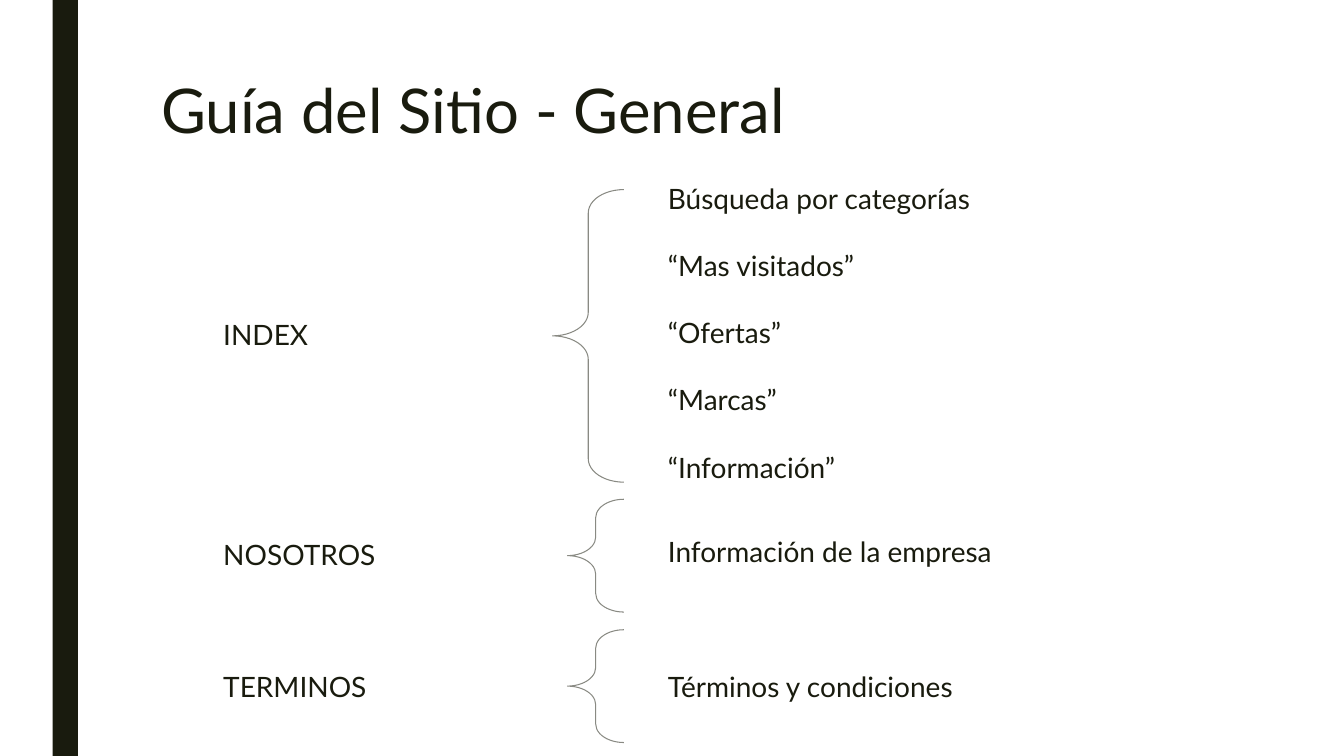
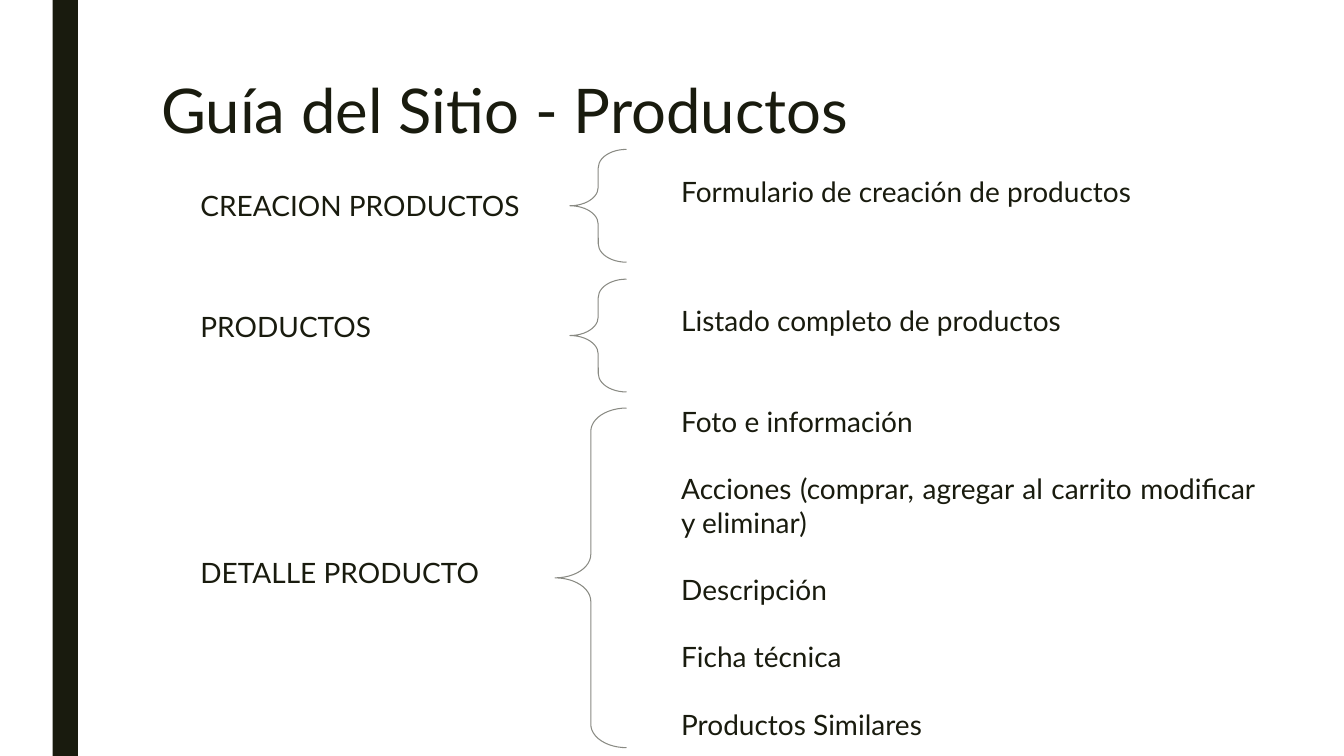
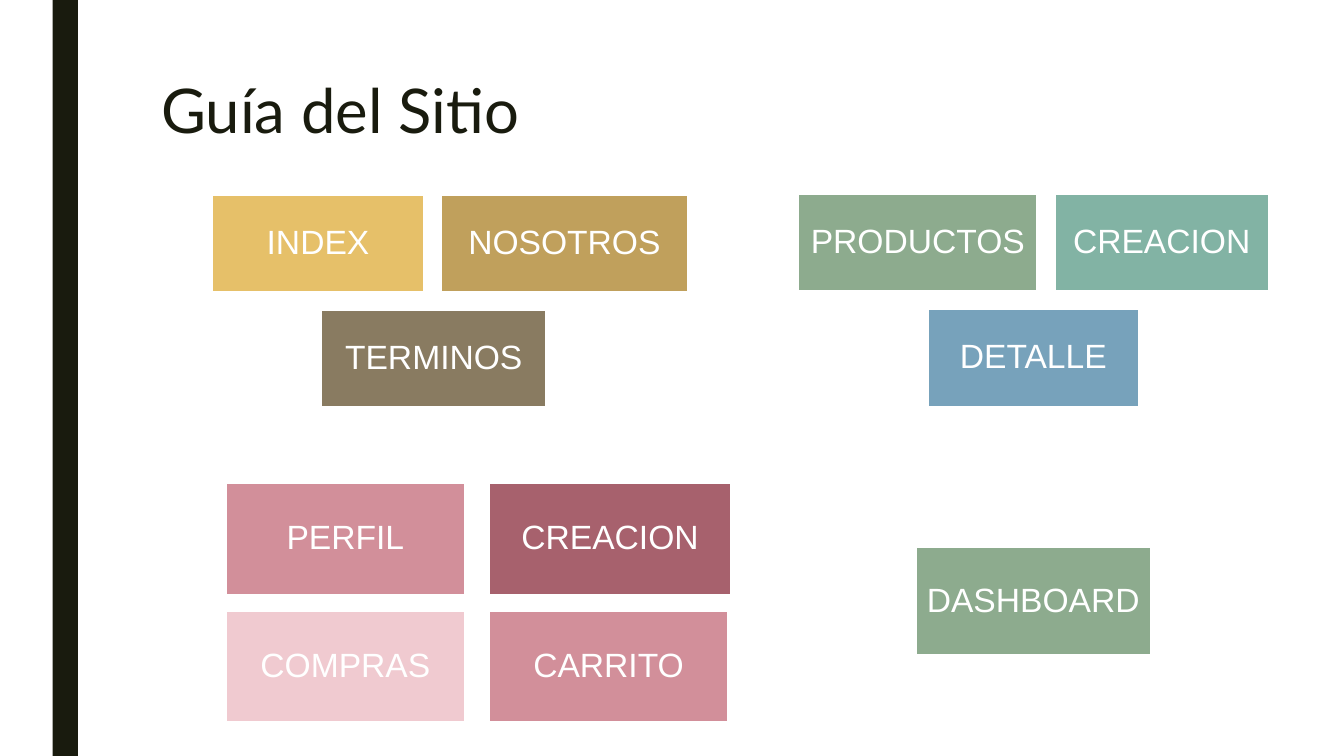
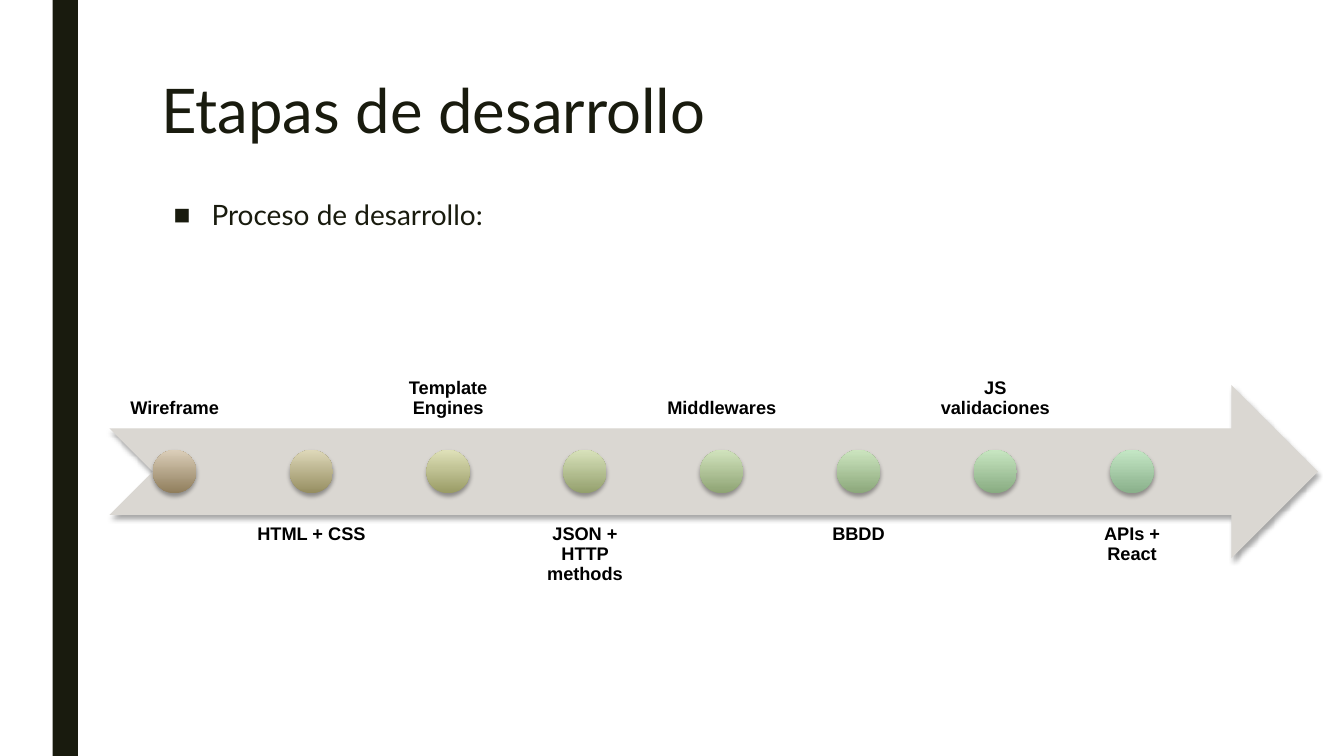
from lxml import etree
from pptx import Presentation
from pptx.dml.color import RGBColor
from pptx.enum.shapes import MSO_SHAPE
from pptx.enum.text import MSO_ANCHOR, MSO_AUTO_SIZE, PP_ALIGN
from pptx.oxml.ns import qn
from pptx.util import Pt

RECT = MSO_SHAPE.RECTANGLE
BRACE = MSO_SHAPE.LEFT_BRACE
ARROW = MSO_SHAPE.NOTCHED_RIGHT_ARROW
OVAL = MSO_SHAPE.OVAL
TOP, MID, LOW = MSO_ANCHOR.TOP, MSO_ANCHOR.MIDDLE, MSO_ANCHOR.BOTTOM
LEFT, CENTER, JUST = PP_ALIGN.LEFT, PP_ALIGN.CENTER, PP_ALIGN.JUSTIFY
FIXED = MSO_AUTO_SIZE.NONE

INK = RGBColor(0x19, 0x1B, 0x0E)
WHITE = RGBColor(0xFF, 0xFF, 0xFF)
BLACK = RGBColor(0, 0, 0)
GRAY = RGBColor(0x89, 0x8A, 0x83)
STONE = RGBColor(0xDA, 0xD7, 0xD2)
GOLD = RGBColor(0xE6, 0xC0, 0x69)
OCHRE = RGBColor(0xC0, 0xA0, 0x5C)
BROWN = RGBColor(0x89, 0x7B, 0x61)
SAGE = RGBColor(0x8D, 0xAB, 0x8E)
TEAL = RGBColor(0x82, 0xB3, 0xA4)
BLUE = RGBColor(0x77, 0xA2, 0xBB)
WINE = RGBColor(0xA7, 0x61, 0x6D)
ROSE = RGBColor(0xD2, 0x8F, 0x9A)
BLUSH = RGBColor(0xF0, 0xCA, 0xD0)

HEAD, SANS = "Lato", "Arial"

STEPS = [
    ("Wireframe", "8F7D5B", "DBCEB9"),
    ("HTML + CSS", "958D60", "DED8B9"),
    ("Template Engines", "999B65", "DFE1B9"),
    ("JSON + HTTP methods", "939F6C", "D8E2BB"),
    ("Middlewares", "8EA373", "D1E3BD"),
    ("BBDD", "8BA77A", "CCE5BF"),
    ("JS validaciones", "88AB81", "C7E6C1"),
    ("APIs + React", "89AF8A", "C4E7C5"),
]


def place(shape, box):
    shape.left, shape.top, shape.width, shape.height = map(Pt, box)


def write(para, text, size, font, color, align, bold=False):
    para.alignment = align
    run = para.add_run()
    run.text = text
    run.font.size = Pt(size)
    run.font.name = font
    run.font.bold = bold
    run.font.color.rgb = color


def draw(shapes, kind, box, fill=None, line=None, width=0):
    shape = shapes.add_shape(kind, *map(Pt, box))
    shape.shadow.inherit = False
    if fill is None:
        shape.fill.background()
    else:
        shape.fill.solid()
        shape.fill.fore_color.rgb = fill
    if line is None:
        shape.line.fill.background()
    else:
        shape.line.color.rgb = line
        shape.line.width = Pt(width)
    return shape


def frame(slide, box, anchor=TOP):
    text = slide.shapes.add_textbox(*map(Pt, box)).text_frame
    text.word_wrap = True
    text.auto_size = FIXED
    text.vertical_anchor = anchor
    return text


def lines(slide, box, items):
    text = frame(slide, box)
    for i, item in enumerate(items):
        para = text.add_paragraph() if i else text.paragraphs[0]
        para.space_after = Pt(24 if i < len(items) - 1 else 0)
        write(para, item, 20, HEAD, INK, JUST)


def shade(shape):
    props = shape.element.spPr
    effects = props.find(qn("a:effectLst"))
    outer = etree.SubElement(
        effects, qn("a:outerShdw"), blurRad=str(Pt(3.1)),
        dist=str(Pt(1.8)), dir="5400000", rotWithShape="0")
    color = etree.SubElement(outer, qn("a:srgbClr"), val="000000")
    etree.SubElement(color, qn("a:alpha"), val="35000")


def start(deck, title):
    slide = deck.slides.add_slide(deck.slide_layouts[5])
    head = slide.shapes.title
    place(head, (108, 54, 756, 116.6))
    text = head.text_frame
    text.auto_size = FIXED
    text.vertical_anchor = TOP
    para = text.paragraphs[0]
    para.line_spacing = 0.89
    write(para, title, 44, HEAD, INK, LEFT)
    return slide


def brand(deck, slide):
    band = draw(slide.shapes, RECT, (37.6, 0, 18, 540), INK)
    deck.slide_master.shapes.element.insert(2, band.element)


def guide(slide, box, reach, label, items, name_y, list_y):
    left, top, width, height = box
    span = 51 if len(items) > 1 else 40.4
    brace = draw(slide.shapes, BRACE, (left + reach - span, top, span, height),
                 None, GRAY, 0.75)
    brace.adjustments[0] = 0.328
    lines(slide, (left, top + name_y, 261, 33), [label])
    lines(slide, (left + width - 424, top + list_y, 424, height), items)


def tiles(slide, box, gaps, rows):
    left, top, height = box
    for r, (indent, row) in enumerate(rows):
        x = left + indent
        for name, width, color in row:
            tile = draw(slide.shapes, RECT, (x, top + r * (height + gaps[1]), width, height),
                        color, WHITE, 2)
            text = tile.text_frame
            text.word_wrap = False
            text.vertical_anchor = MID
            para = text.paragraphs[0]
            para.line_spacing = 0.9
            write(para, name, 24, SANS, WHITE, CENTER)
            x += width + gaps[0]


def bullet(slide, box, words):
    para = frame(slide, box).paragraphs[0]
    para.line_spacing = 0.94
    para.space_before = Pt(10)
    write(para, words, 20, HEAD, INK, LEFT)
    props = para._p.get_or_add_pPr()
    props.set("marL", str(Pt(36)))
    props.set("indent", str(Pt(-27)))
    color = etree.SubElement(props, qn("a:buClr"))
    etree.SubElement(color, qn("a:srgbClr"), val=str(INK))
    etree.SubElement(props, qn("a:buFont"), typeface=SANS)
    etree.SubElement(props, qn("a:buChar"), char="■")


def process(slide, box, steps):
    left, top, width, height = box
    shade(draw(slide.shapes, ARROW, box, STONE))
    pitch, wide, dot = 97.7, 93, 31
    for i, (name, dark, light) in enumerate(steps):
        x = left + i * pitch
        shift = 0.75 * height * (1 if i % 2 else -1)
        text = frame(slide, (x, top + shift, wide, height), TOP if i % 2 else LOW)
        text.margin_top = text.margin_bottom = Pt(7.2)
        para = text.paragraphs[0]
        para.line_spacing = 0.9
        write(para, name, 13, SANS, BLACK, CENTER, True)
        ball = draw(slide.shapes, OVAL,
                    (x + (wide - dot) / 2, top + (height - dot) / 2, dot, dot), STONE)
        ball.fill.gradient()
        ball.fill.gradient_angle = 90
        for stop, tone in zip(ball.fill.gradient_stops, (dark, light)):
            stop.color.rgb = RGBColor.from_string(tone)
        shade(ball)


def main():
    deck = Presentation()
    deck.slide_width, deck.slide_height = Pt(960), Pt(540)

    slide = start(deck, "Guía del Sitio - General")
    brand(deck, slide)
    guide(slide, (152.4, 135.4, 741.6, 209), 293.3, "INDEX",
          ["Búsqueda por categorías", "“Mas visitados”", "“Ofertas”",
           "“Marcas”", "“Información”"], 87.8, -9.6)
    guide(slide, (152.4, 356.6, 741.6, 80.6), 293.3, "NOSOTROS",
          ["Información de la empresa"], 24, 21.4)
    guide(slide, (152.4, 449.8, 741.6, 80.6), 293.3, "TERMINOS",
          ["Términos y condiciones"], 24.7, 24.7)

    slide = start(deck, "Guía del Sitio - Productos")
    guide(slide, (136.1, 106.7, 767.4, 80.6), 311.4, "CREACION PRODUCTOS",
          ["Formulario de creación de productos"], 24.4, 14.3)
    guide(slide, (136.1, 199.4, 767.4, 80.6), 311.4, "PRODUCTOS",
          ["Listado completo de productos"], 18, 13.7)
    guide(slide, (136.1, 291.5, 767.4, 242.6), 311.4, "DETALLE PRODUCTO",
          ["Foto e información",
           "Acciones (comprar, agregar al carrito modificar y eliminar)",
           "Descripción", "Ficha técnica", "Productos Similares"], 101.6, -6)

    slide = start(deck, "Guía del Sitio")
    tiles(slide, (151.2, 139, 70), (11.5, 12.2), [
        (0, [("INDEX", 152, GOLD), ("NOSOTROS", 177, OCHRE)]),
        (77.9, [("TERMINOS", 161.5, BROWN)])])
    tiles(slide, (569.9, 138, 70.4), (11.7, 12.2), [
        (0, [("PRODUCTOS", 171.5, SAGE), ("CREACION", 153.4, TEAL)]),
        (92.6, [("DETALLE", 151.2, BLUE)])])
    tiles(slide, (161, 345.1, 80), (16.6, 10.8), [
        (0, [("PERFIL", 171.4, ROSE), ("CREACION", 173.5, WINE)]),
        (0, [("COMPRAS", 171.4, BLUSH), ("CARRITO", 171.4, ROSE)])])
    tiles(slide, (653.8, 390.6, 77.8), (0, 0), [
        (0, [("DASHBOARD", 168.5, SAGE)])])

    slide = start(deck, "Etapas de desarrollo")
    bullet(slide, (108, 139.7, 833.8, 42.5), "Proceso de desarrollo:")
    process(slide, (78.2, 275, 863.3, 123.8), STEPS)

    deck.save("out.pptx")


if __name__ == "__main__":
    main()
